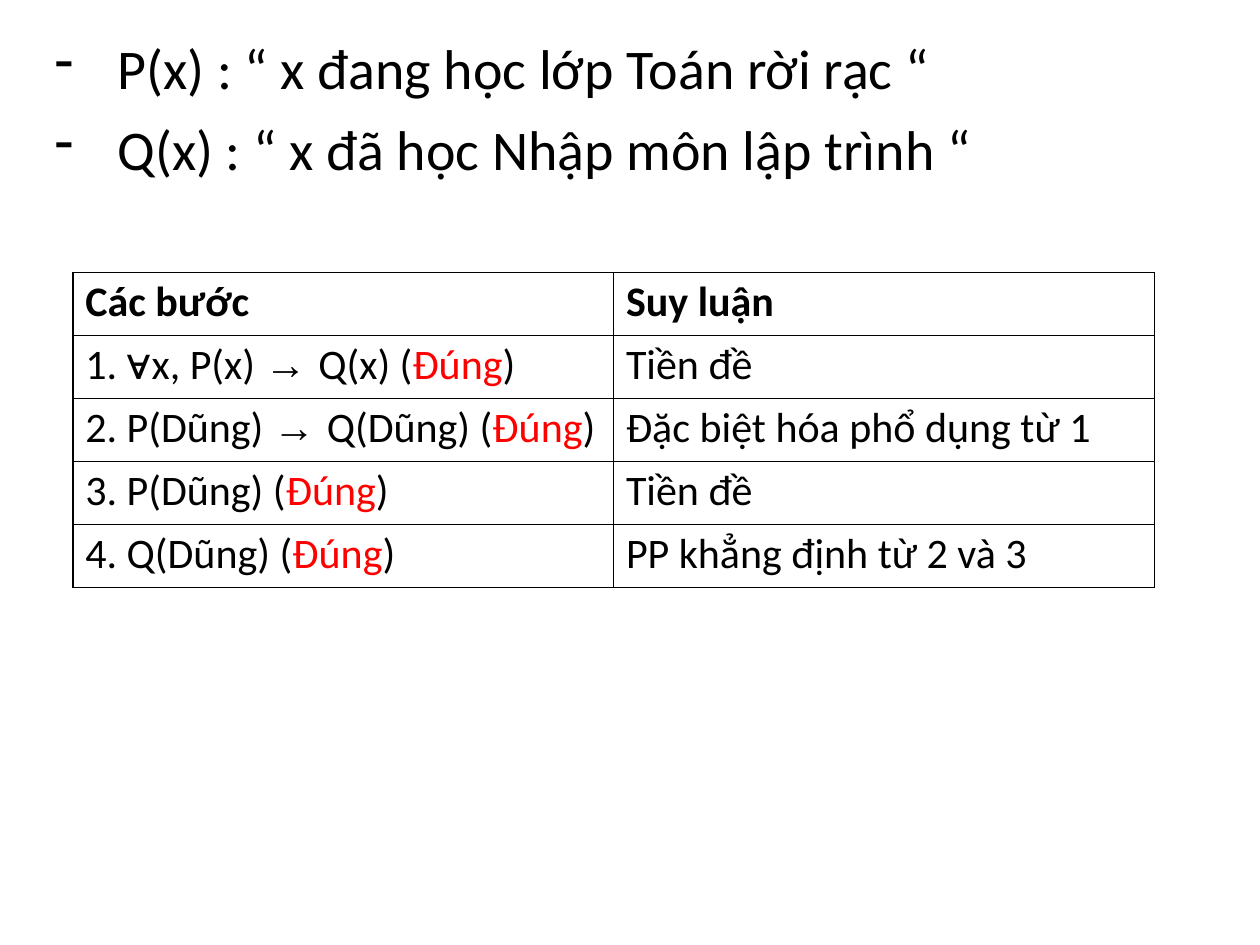
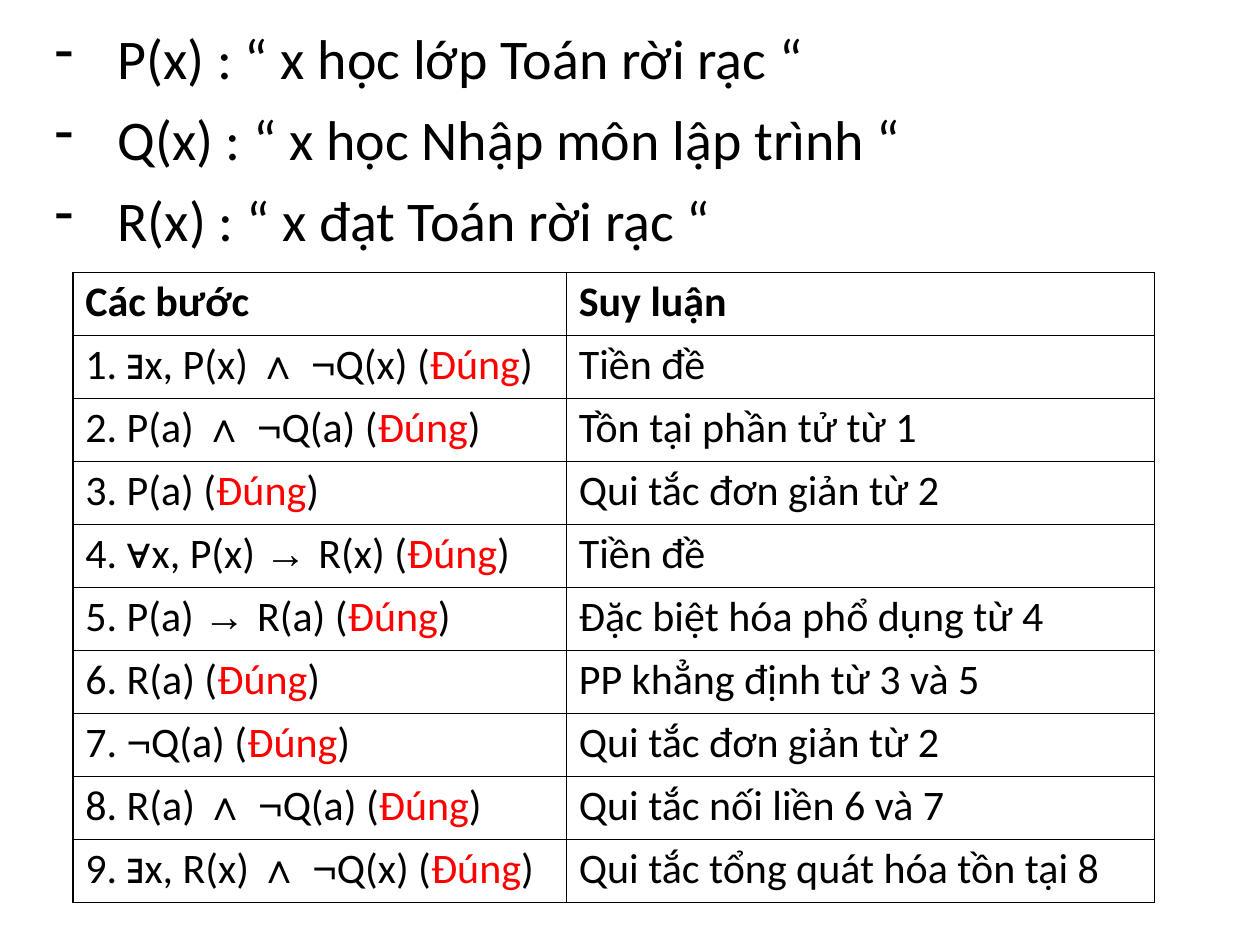
from itertools import groupby

from lxml import etree
from pptx import Presentation
from pptx import util as u
from pptx.dml import color
from pptx.enum import text
from pptx.oxml import ns

BLACK, RED = "000000", "FF0000"
SYMBOLS = "∀∃∧¬→"
HEADINGS = ("Các bước", "Suy luận")
VERDICT = "Đúng"
TABLE_LEFT, TABLE_TOP, TABLE_WIDTH, ROW_HEIGHT = 1.47, 5.49, 21.8, 1.27

# Each proof: box of definitions (top, width, height), its lines,
# width of the step column, and the steps with their reasons
proofs = [
    ((0.38, 18.6, 3.33),
     ["P(x) : “ x đang học lớp Toán rời rạc “",
      "Q(x) : “ x đã học Nhập môn lập trình “"],
     10.9,
     [("∀x, P(x) → Q(x)", "Tiền đề"),
      ("P(Dũng) → Q(Dũng)", "Đặc biệt hóa phổ dụng từ 1"),
      ("P(Dũng)", "Tiền đề"),
      ("Q(Dũng)", "PP khẳng định từ 2 và 3")]),
    ((0.18, 17.15, 4.95),
     ["P(x) : “ x học lớp Toán rời rạc “",
      "Q(x) : “ x học Nhập môn lập trình “",
      "R(x) : “ x đạt Toán rời rạc “"],
     9.95,
     [("∃x, P(x) ∧ ¬Q(x)", "Tiền đề"),
      ("P(a) ∧ ¬Q(a)", "Tồn tại phần tử từ 1"),
      ("P(a)", "Qui tắc đơn giản từ 2"),
      ("∀x, P(x) → R(x)", "Tiền đề"),
      ("P(a) → R(a)", "Đặc biệt hóa phổ dụng từ 4"),
      ("R(a)", "PP khẳng định từ 3 và 5"),
      ("¬Q(a)", "Qui tắc đơn giản từ 2"),
      ("R(a) ∧ ¬Q(a)", "Qui tắc nối liền 6 và 7"),
      ("∃x, R(x) ∧ ¬Q(x)", "Qui tắc tổng quát hóa tồn tại 8")]),
]


def rgb(hex_code):
    return color.RGBColor.from_string(hex_code)


def add_run(paragraph, words, size, bold=False, ink=BLACK, face="Calibri"):
    run = paragraph.add_run()
    run.text = words
    run.font.name, run.font.size, run.font.bold = face, u.Pt(size), bold
    run.font.color.rgb = rgb(ink)


prs = Presentation()
prs.slide_width, prs.slide_height = u.Cm(25.4), u.Cm(19.05)

for (top, width, height), definitions, step_width, steps in proofs:
    slide = prs.slides.add_slide(prs.slide_layouts[6])

    # Definitions of the predicates, with dash bullets
    box = slide.shapes.add_textbox(u.Cm(1.07), u.Cm(top), u.Cm(width), u.Cm(height))
    frame = box.text_frame
    frame.word_wrap = True
    frame.margin_left = frame.margin_right = frame.margin_bottom = 0
    frame.margin_top = u.Cm(0.3)
    for number, definition in enumerate(definitions):
        paragraph = frame.add_paragraph() if number else frame.paragraphs[0]
        props = paragraph._p.get_or_add_pPr()
        props.set("marL", str(u.Cm(1.3)))
        props.set("indent", str(-u.Cm(1.27)))
        etree.SubElement(props, ns.qn("a:buChar"), char="-")
        if number:
            paragraph.space_before = u.Pt(7.7)
        add_run(paragraph, definition, 32)

    # Table of steps and reasons
    table = slide.shapes.add_table(
        len(steps) + 1, 2, u.Cm(TABLE_LEFT), u.Cm(TABLE_TOP),
        u.Cm(TABLE_WIDTH), u.Cm(ROW_HEIGHT * (len(steps) + 1))).table
    table.first_row = table.horz_banding = False
    table.columns[0].width = u.Cm(step_width)
    table.columns[1].width = u.Cm(TABLE_WIDTH - step_width)
    for row in table.rows:
        row.height = u.Cm(ROW_HEIGHT)

    for cell in table.iter_cells():
        cell.margin_left = u.Cm(0.25)
        cell.margin_right = cell.margin_bottom = 0
        cell.margin_top = u.Cm(0.08)
        cell.vertical_anchor = text.MSO_ANCHOR.TOP
        for side in ("lnL", "lnR", "lnT", "lnB"):
            line = etree.SubElement(cell._tc.get_or_add_tcPr(), ns.qn(f"a:{side}"),
                                    w=str(u.Pt(1)))
            ink = etree.SubElement(line, ns.qn("a:solidFill"))
            etree.SubElement(ink, ns.qn("a:srgbClr"), val=BLACK)
        cell.fill.background()

    for column, heading in enumerate(HEADINGS):
        add_run(table.cell(0, column).text_frame.paragraphs[0], heading, 24, bold=True)

    for number, (step, reason) in enumerate(steps, 1):
        paragraph = table.cell(number, 0).text_frame.paragraphs[0]
        statement = f"{number}. {step} ("
        # Logic symbols, and the space after one, are set in Arial
        marks = [(letter in SYMBOLS or (letter == " " and before in SYMBOLS), letter)
                 for before, letter in zip("." + statement, statement)]
        for is_symbol, group in groupby(marks, key=lambda mark: mark[0]):
            add_run(paragraph, "".join(letter for _, letter in group), 24,
                    face="Arial" if is_symbol else "Calibri")
        add_run(paragraph, VERDICT, 24, ink=RED)
        add_run(paragraph, ")", 24)
        add_run(table.cell(number, 1).text_frame.paragraphs[0], reason, 24)

prs.save("out.pptx")
